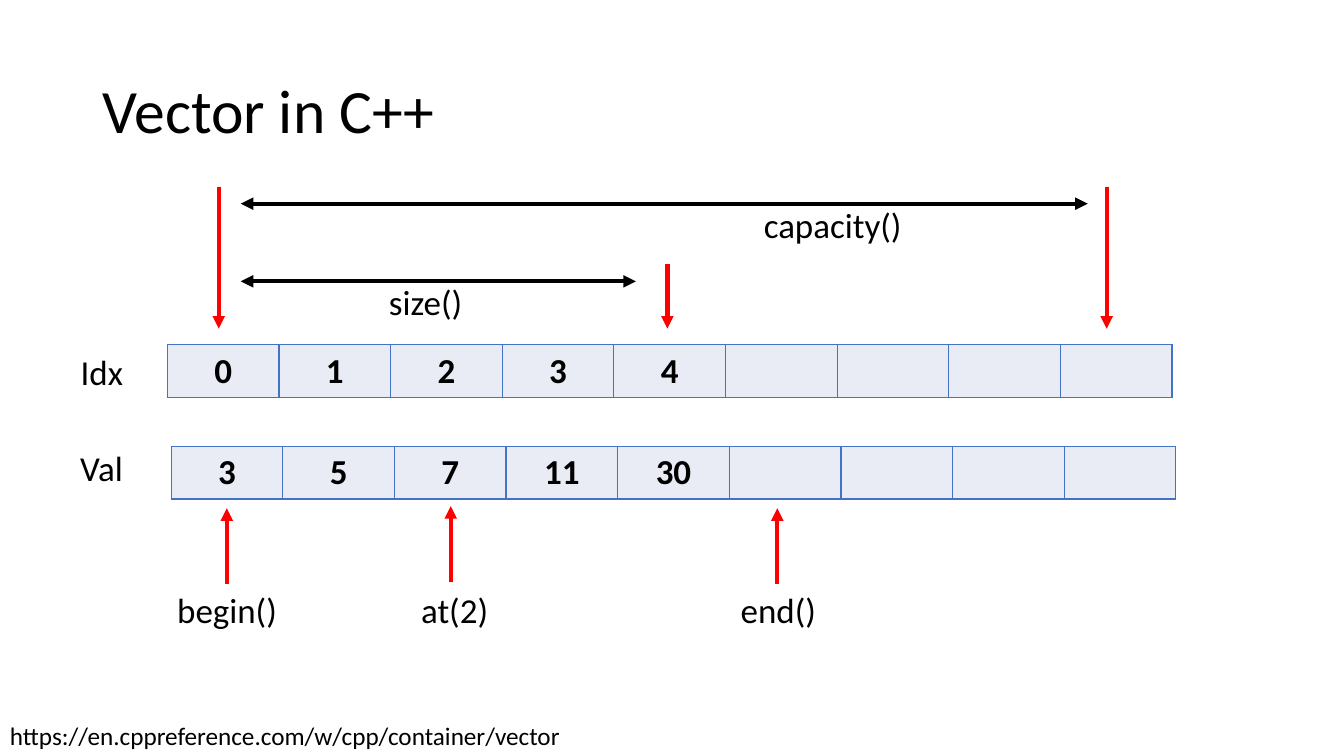
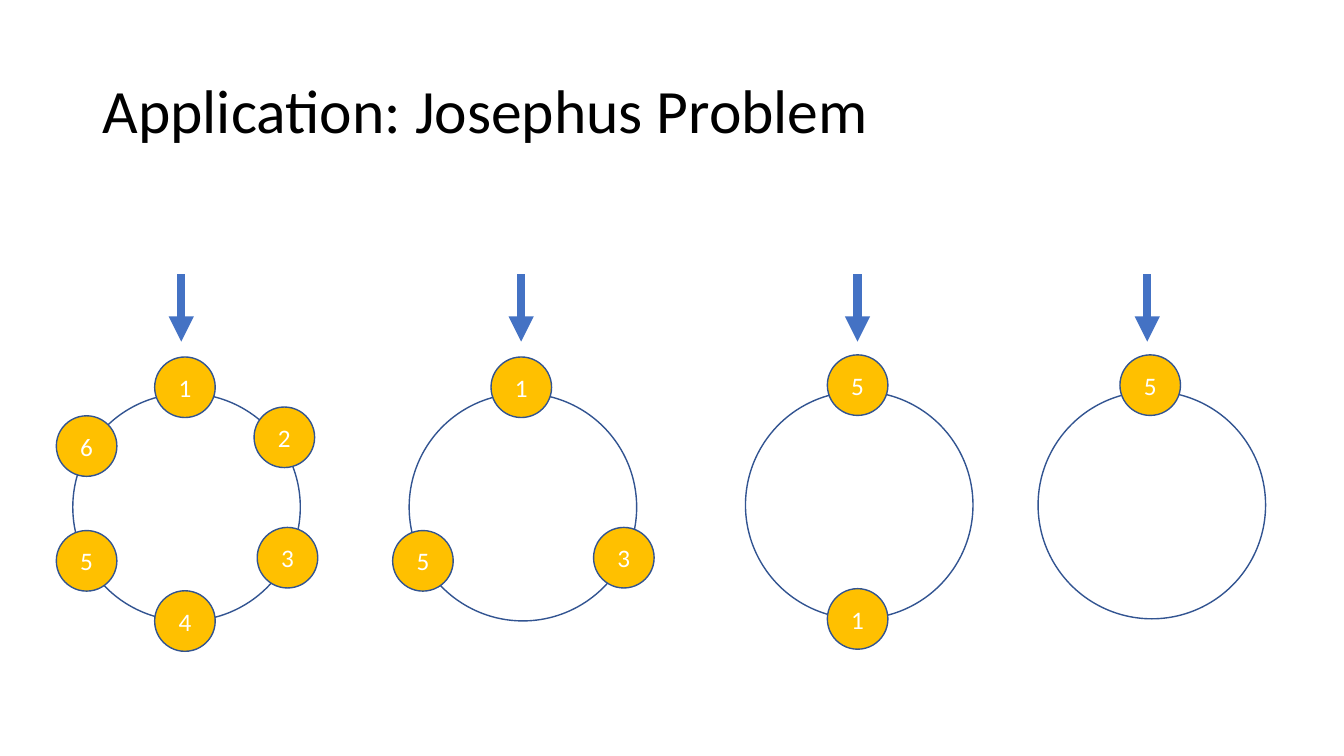
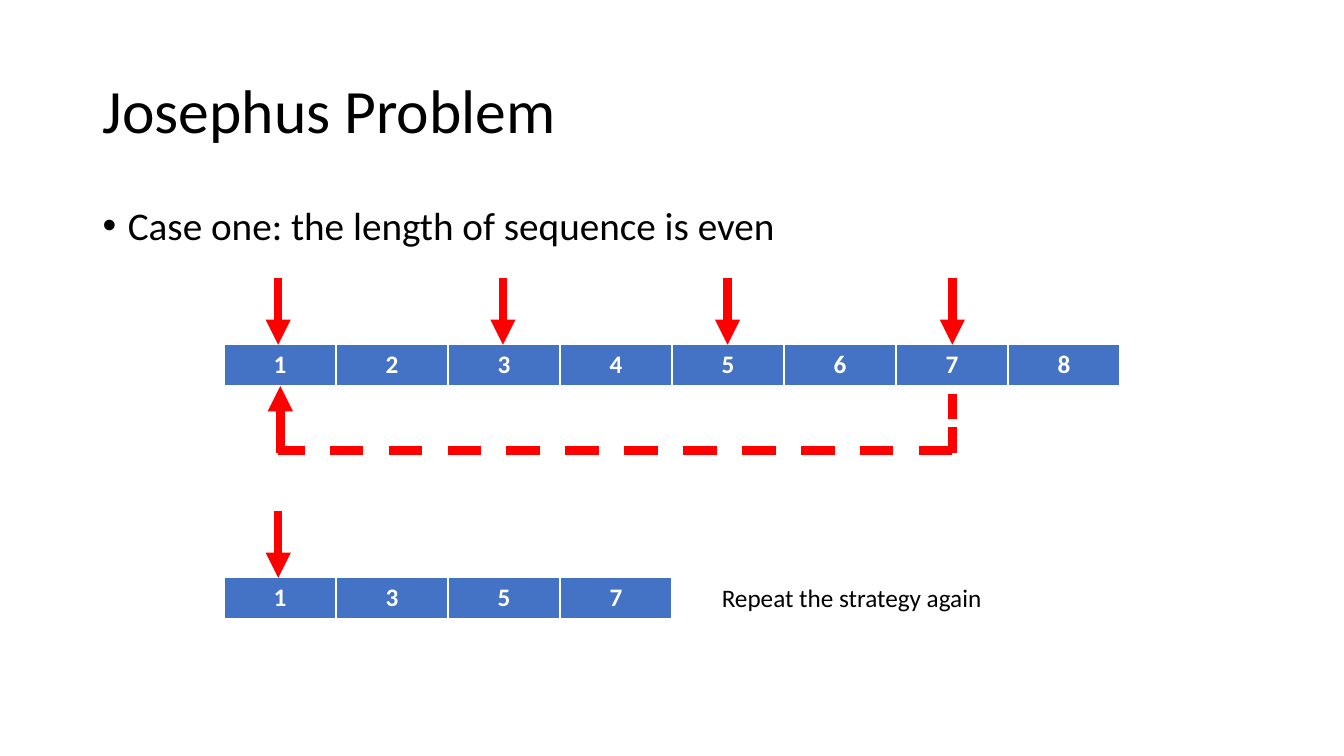
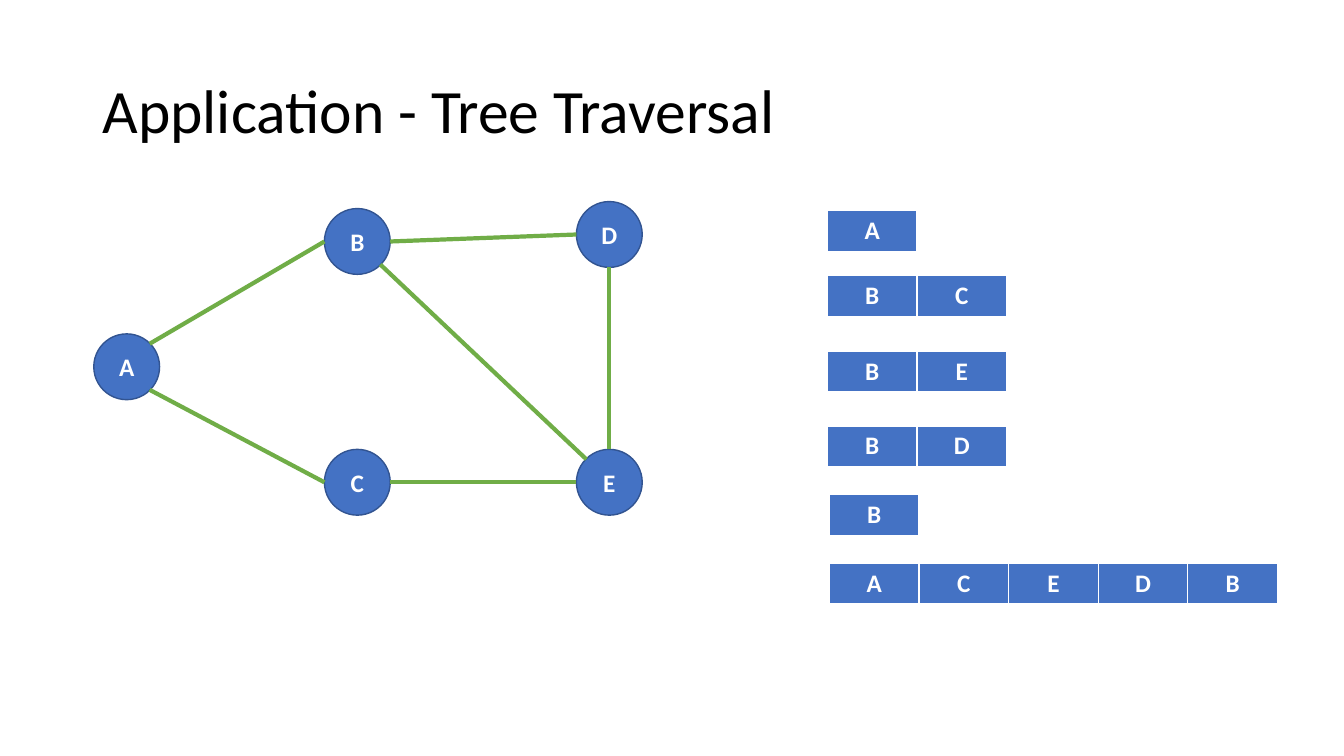
from pptx import Presentation
from pptx.dml.color import RGBColor
from pptx.enum.dml import MSO_LINE
from pptx.enum.shapes import MSO_CONNECTOR, MSO_SHAPE
from pptx.enum.text import MSO_ANCHOR, PP_ALIGN
from pptx.oxml.ns import qn
from pptx.util import Pt
from lxml.etree import SubElement

COLORS = {
    "black": "000000", "white": "FFFFFF", "red": "FF0000", "blue": "4472C4",
    "outline": "325491", "pale": "E9EBF5", "gold": "FFC000", "green": "70AD47",
}
FONT = "Calibri"
TITLE_BOX = (66.25, 28.75, 828, 104.5)
BODY_BOX = (66.25, 144, 828, 342.75)

TITLE_FORMAT = {"size": 44, "anchor": MSO_ANCHOR.MIDDLE, "line_spacing": 0.9}
BODY_FORMAT = {"size": 28, "line_spacing": 0.9, "space_before": Pt(10)}
LABEL_FORMAT = {"size": 25}
NOTE_FORMAT = {"size": 18}
CENTERED = {"alignment": PP_ALIGN.CENTER}
BEAD_FORMAT = {"size": 18, "color": "white", **CENTERED}
NODE_FORMAT = {**BEAD_FORMAT, "bold": True}
ARRAY_STYLE = {
    "fill": "pale", "border": "blue", "row_height": 37.5,
    "text": {"size": 25, "bold": True, **CENTERED},
}
QUEUE_STYLE = {"fill": "blue", "border": "white", "row_height": 29.25, "text": NODE_FORMAT}


def rgb(name):
    return RGBColor.from_string(COLORS[name])


def write(paragraph, text, size, color="black", bold=False, **paragraph_format):
    run = paragraph.add_run()
    run.text = text
    for name, value in {"name": FONT, "size": Pt(size), "bold": bold}.items():
        setattr(run.font, name, value)
    run.font.color.rgb = rgb(color)
    for name, value in paragraph_format.items():
        setattr(paragraph, name, value)


def add_text(slide, box, text, anchor=MSO_ANCHOR.TOP, **text_format):
    frame = slide.shapes.add_textbox(*map(Pt, box)).text_frame
    frame.word_wrap = True
    frame.vertical_anchor = anchor
    paragraph = frame.paragraphs[0]
    write(paragraph, text, **text_format)
    return paragraph


def add_bullet(slide, box, text):
    properties = add_text(slide, box, text, **BODY_FORMAT)._p.get_or_add_pPr()
    properties.set("marL", str(Pt(18)))
    properties.set("indent", str(Pt(-18)))
    SubElement(properties, qn("a:buFont"), typeface="Arial")
    SubElement(properties, qn("a:buChar"), char="•")


def add_line(slide, start, end, color, width=3, ends=("tailEnd",), dash=None):
    """Draw a straight line; ends lists which of headEnd and tailEnd get arrowheads."""
    points = map(Pt, (*start, *end))
    connector = slide.shapes.add_connector(MSO_CONNECTOR.STRAIGHT, *points)
    line = connector.line
    line.color.rgb = rgb(color)
    line.width = Pt(width)
    if dash:
        line.dash_style = dash
    for end_name in ends:
        SubElement(line._get_or_add_ln(), qn(f"a:{end_name}"), type="triangle")
    SubElement(connector._element.spPr, qn("a:effectLst"))


def add_circle(slide, left, top, diameter, fill=None, text="", text_format=None):
    shape = slide.shapes.add_shape(MSO_SHAPE.OVAL, *map(Pt, (left, top, diameter, diameter)))
    shape.shadow.inherit = False
    shape.line.color.rgb = rgb("outline")
    shape.line.width = Pt(1)
    if fill:
        shape.fill.solid()
        shape.fill.fore_color.rgb = rgb(fill)
    else:
        shape.fill.background()
    if text:
        shape.text_frame.vertical_anchor = MSO_ANCHOR.MIDDLE
        write(shape.text_frame.paragraphs[0], text, **text_format)


def add_border(cell, color):
    properties = cell._tc.get_or_add_tcPr()
    for side in ("lnL", "lnR", "lnT", "lnB"):
        line = SubElement(properties, qn(f"a:{side}"), w=str(Pt(1)))
        fill = SubElement(line, qn("a:solidFill"))
        SubElement(fill, qn("a:srgbClr"), val=COLORS[color])


def add_row(slide, left, top, values, column_width, style):
    """Draw a one-row table with a cell for each value."""
    box = (left, top, column_width * len(values), style["row_height"])
    table = slide.shapes.add_table(1, len(values), *map(Pt, box)).table
    table.first_row = table.horz_banding = False
    for column, cell, value in zip(table.columns, table.rows[0].cells, values):
        column.width = Pt(column_width)
        add_border(cell, style["border"])
        cell.fill.solid()
        cell.fill.fore_color.rgb = rgb(style["fill"])
        if value:
            write(cell.text_frame.paragraphs[0], value, **style["text"])


def add_titled_slide(presentation, title):
    slide = presentation.slides.add_slide(presentation.slide_layouts[6])
    add_text(slide, TITLE_BOX, title, **TITLE_FORMAT)
    return slide


def add_index_row(slide, left, top):
    """Place the index cells with the size and capacity spans above them."""
    add_row(slide, left, top, ["0", "1", "2", "3", "4"] + [""] * 4, 79.75, ARRAY_STYLE)
    add_text(slide, (left - 69, top + 0.75, 50, 37.5), "Idx", **LABEL_FORMAT)
    for x, length in ((36.75, 101.5), (357.25, 46), (671, 101.5)):
        bottom = top - 11.5
        add_line(slide, (left + x, bottom - length), (left + x, bottom), "red")
    spans = (("size()", 334.75, -45.25, 151.25, 73), ("capacity()", 657.5, -100.75, 419, 117))
    for text, right, y, text_x, text_width in spans:
        add_line(slide, (left + right, top + y), (left + 52.5, top + y), "black",
                 ends=("headEnd", "tailEnd"))
        add_text(slide, (left + text_x, top + y - 4, text_width, 37.5), text, **LABEL_FORMAT)


def add_value_row(slide, left, top):
    """Place the value cells with the accessor calls that point at them."""
    add_row(slide, left, top, ["3", "5", "7", "11", "30"] + [""] * 4, 79.75, ARRAY_STYLE)
    add_text(slide, (left - 72, top - 3.5, 50, 37.5), "Val", **LABEL_FORMAT)
    calls = (("begin()", 39.75, 98, -2.75, 94.5), ("at(2)", 199.75, 96.5, 171.5, 73),
             ("end()", 433, 98, 399.75, 94.5))
    for text, x, y, text_x, text_width in calls:
        add_line(slide, (left + x, top + y), (left + x, top + y - 54), "red")
        add_text(slide, (left + text_x, top + 98, text_width, 37.5), text, **LABEL_FORMAT)


def build_vector(presentation):
    slide = add_titled_slide(presentation, "Vector in C++")
    add_index_row(slide, 119.5, 246.25)
    add_value_row(slide, 122.25, 319)
    add_text(slide, (0, 511.25, 480, 28.75),
             "https://en.cppreference.com/w/cpp/container/vector", **NOTE_FORMAT)


BEAD_OFFSETS = {
    "top": (58.5, -26), "upper right": (129.5, 9.75), "lower right": (131.75, 95.75),
    "bottom": (58.5, 141), "lower left": (-11.75, 98), "upper left": (-11.75, 16),
}


def add_ring(slide, left, top, arrow_x, beads):
    add_circle(slide, left, top, 162.5)
    for place, text in beads.items():
        x, y = BEAD_OFFSETS[place]
        add_circle(slide, left + x, top + y, 43.25, "gold", text, BEAD_FORMAT)
    add_line(slide, (left + arrow_x, 195.75), (left + arrow_x, 244), "blue", width=6)


def build_josephus_rings(presentation):
    slide = add_titled_slide(presentation, "Application: Josephus Problem")
    full_ring = {"top": "1", "upper right": "2", "lower right": "3",
                 "bottom": "4", "lower left": "5", "upper left": "6"}
    add_ring(slide, 52, 281, 77.5, full_ring)
    add_ring(slide, 292.25, 281, 80, {"top": "1", "lower right": "3", "lower left": "5"})
    add_ring(slide, 532.5, 279.5, 80, {"top": "5", "bottom": "1"})
    add_ring(slide, 741.5, 279.5, 78, {"top": "5"})


def add_marked_row(slide, left, top, values, marked):
    """Place a row of values with an arrow above each marked column."""
    add_row(slide, left, top, values, 80, QUEUE_STYLE)
    for column in marked:
        x = left + 38.75 + 80.25 * column
        add_line(slide, (x, top - 47.5), (x, top), "red", width=6)


def add_return_path(slide, left, top, right):
    """Lead from the last marked column back to the first one."""
    add_line(slide, (left + 1.5, top + 47.5), (left + 1.5, top), "red", width=6)
    add_line(slide, (right, top + 47.5), (right, top), "red", width=6, ends=(),
             dash=MSO_LINE.SQUARE_DOT)
    add_line(slide, (right, top + 46), (left, top + 46), "red", width=6, ends=(),
             dash=MSO_LINE.DASH)


def build_josephus_even(presentation):
    slide = add_titled_slide(presentation, "Josephus Problem")
    add_bullet(slide, BODY_BOX, "Case one: the length of sequence is even")
    add_marked_row(slide, 160, 246.25, "12345678", (0, 2, 4, 6))
    add_marked_row(slide, 160, 412.75, "1357", (0,))
    add_return_path(slide, 198.75, 275.75, 680.25)
    add_text(slide, (508.5, 412.75, 216.75, 28.75), "Repeat the strategy again", **NOTE_FORMAT)


NODE_SIZE = 47
NODES = {"A": (0, 94.5), "B": (164.75, 5), "C": (164.75, 177),
         "D": (344.75, 0), "E": (344.75, 177)}
# Points on a circle's rim as fractions of its bounding box
RIM = {"top": (0.5, 0), "bottom": (0.5, 1), "left": (0, 0.5), "right": (1, 0.5),
       "upper left": (0.15, 0.15), "upper right": (0.85, 0.15), "lower right": (0.85, 0.85)}
EDGES = (
    ("A", "upper right", "B", "left"), ("A", "lower right", "C", "left"),
    ("B", "right", "D", "left"), ("C", "right", "E", "left"),
    ("D", "bottom", "E", "top"), ("B", "lower right", "E", "upper left"),
)


def add_graph(slide, left, top):
    def rim_point(node, side):
        return tuple(origin + offset + NODE_SIZE * fraction for origin, offset, fraction
                     in zip((left, top), NODES[node], RIM[side]))

    for name, (x, y) in NODES.items():
        add_circle(slide, left + x, top + y, NODE_SIZE, "blue", name, NODE_FORMAT)
    for start, start_side, end, end_side in EDGES:
        add_line(slide, rim_point(start, start_side), rim_point(end, end_side),
                 "green", ends=())


def add_queue_states(slide, left, top):
    states = ((0, 0, "A"), (0, 46.5, "BC"), (0, 100.5, "BE"),
              (0, 154, "BD"), (1.5, 203, "B"), (1.5, 252, "ACEDB"))
    for x, y, values in states:
        add_row(slide, left + x, top + y, values, 64, QUEUE_STYLE)


def build_traversal(presentation):
    slide = add_titled_slide(presentation, "Application - Tree Traversal")
    add_queue_states(slide, 591, 150.25)
    add_graph(slide, 67, 144)


def main():
    presentation = Presentation()
    presentation.slide_width, presentation.slide_height = Pt(960), Pt(540)
    for build in (build_vector, build_josephus_rings, build_josephus_even, build_traversal):
        build(presentation)
    presentation.save("out.pptx")


if __name__ == "__main__":
    main()
